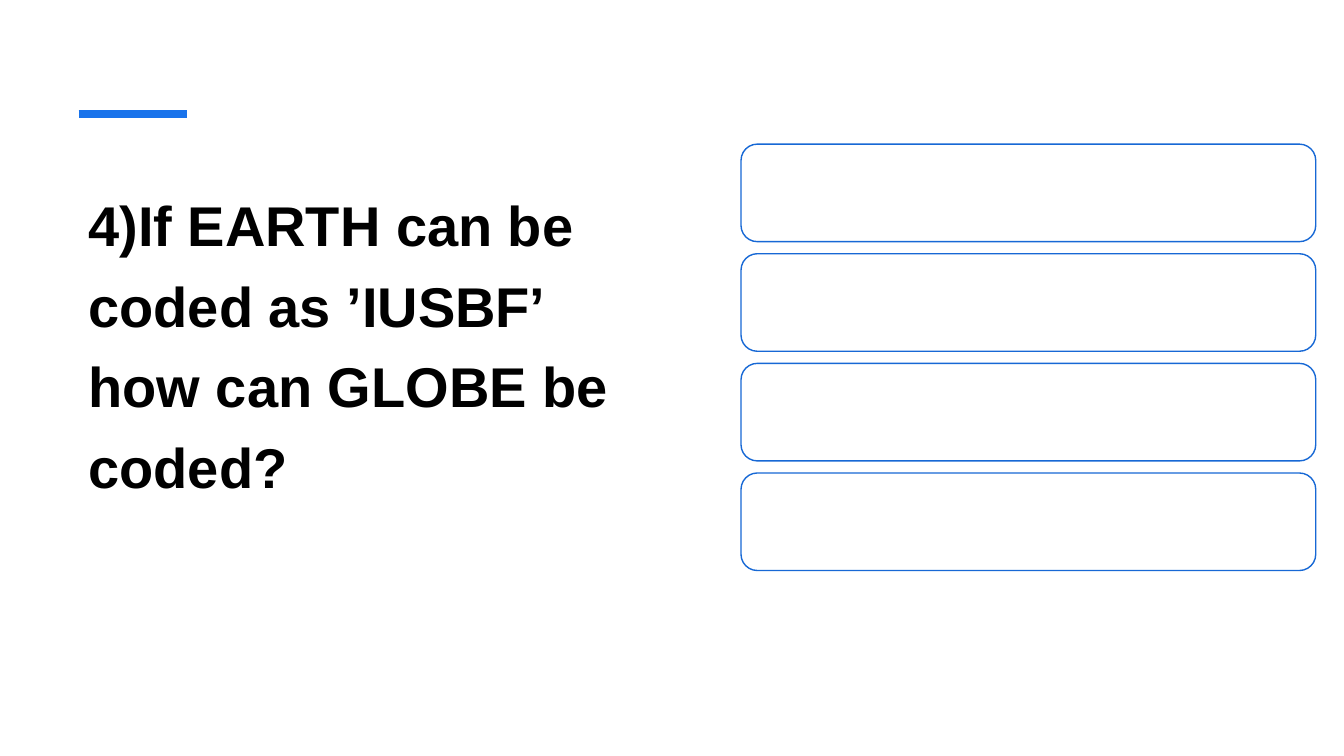
from pptx import Presentation
from pptx import util as u
from pptx.dml.color import RGBColor
from pptx.enum import shapes, text
from pptx.oxml.ns import qn
from lxml import etree

COLOURS = {
    "accent": "1973EB",
    "outline": "1768D5",
    "panel": "FFFFFF",
    "ink": "000000",
}
QUESTION = "4)If EARTH can be coded as ’IUSBF’ how can GLOBE be coded?"


def colour(name):
    return RGBColor.from_string(COLOURS[name])


def add_accent(page, left, top, width):
    y = u.Inches(top)
    rule = page.shapes.add_connector(
        shapes.MSO_CONNECTOR.STRAIGHT, u.Inches(left), y, u.Inches(left + width), y
    )
    rule.line.color.rgb = colour("accent")
    rule.line.width = u.Pt(6)
    etree.SubElement(rule._element.spPr, qn("a:effectLst"))


def add_question(page, left, top, width, height):
    box = page.shapes.add_textbox(*map(u.Inches, (left, top, width, height)))
    frame = box.text_frame
    frame.word_wrap = True
    frame.vertical_anchor = text.MSO_ANCHOR.TOP
    para = frame.paragraphs[0]
    para.line_spacing = 1.2
    para.space_before = u.Pt(10)
    span = para.add_run()
    span.text = QUESTION
    span.font.name = "Arial"
    span.font.size = u.Pt(40)
    span.font.bold = True
    span.font.color.rgb = colour("ink")


def add_answer_panels(page, left, top, width, height, count=4, gap=0.12):
    panel_height = (height - gap * (count - 1)) / count
    for index in range(count):
        panel_top = top + index * (panel_height + gap)
        panel = page.shapes.add_shape(
            shapes.MSO_SHAPE.ROUNDED_RECTANGLE,
            *map(u.Inches, (left, panel_top, width, panel_height)),
        )
        panel.shadow.inherit = False
        panel.fill.solid()
        panel.fill.fore_color.rgb = colour("panel")
        panel.line.color.rgb = colour("outline")
        panel.line.width = u.Pt(1)


def main():
    deck = Presentation()
    deck.slide_width = u.Inches(13.33)
    deck.slide_height = u.Inches(7.5)
    page = deck.slides.add_slide(deck.slide_layouts[6])
    add_accent(page, 0.78, 1.13, 1.07)
    add_question(page, 0.78, 1.71, 5.7, 3.66)
    add_answer_panels(page, 7.35, 1.43, 5.7, 4.23)
    deck.save("out.pptx")


if __name__ == "__main__":
    main()
